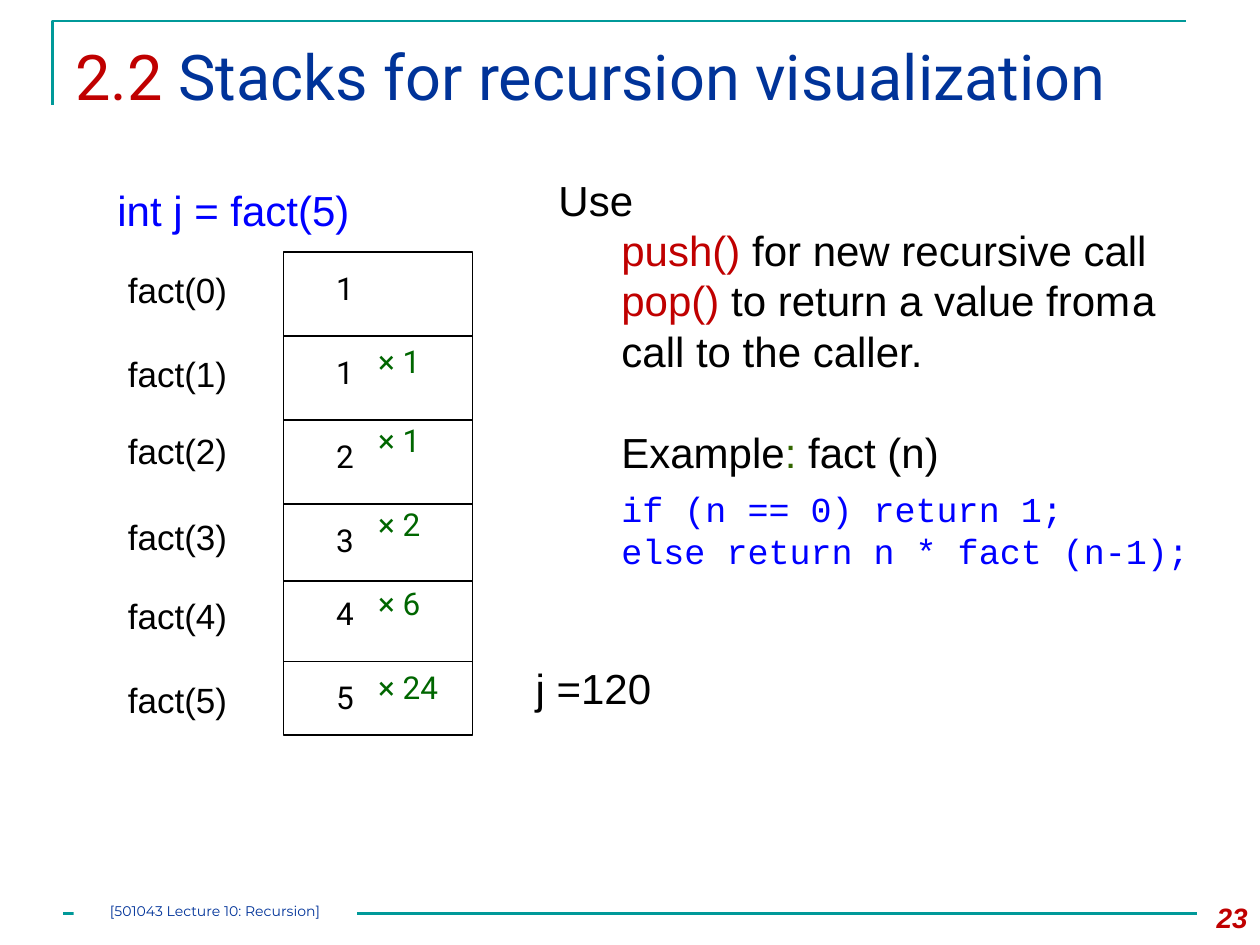
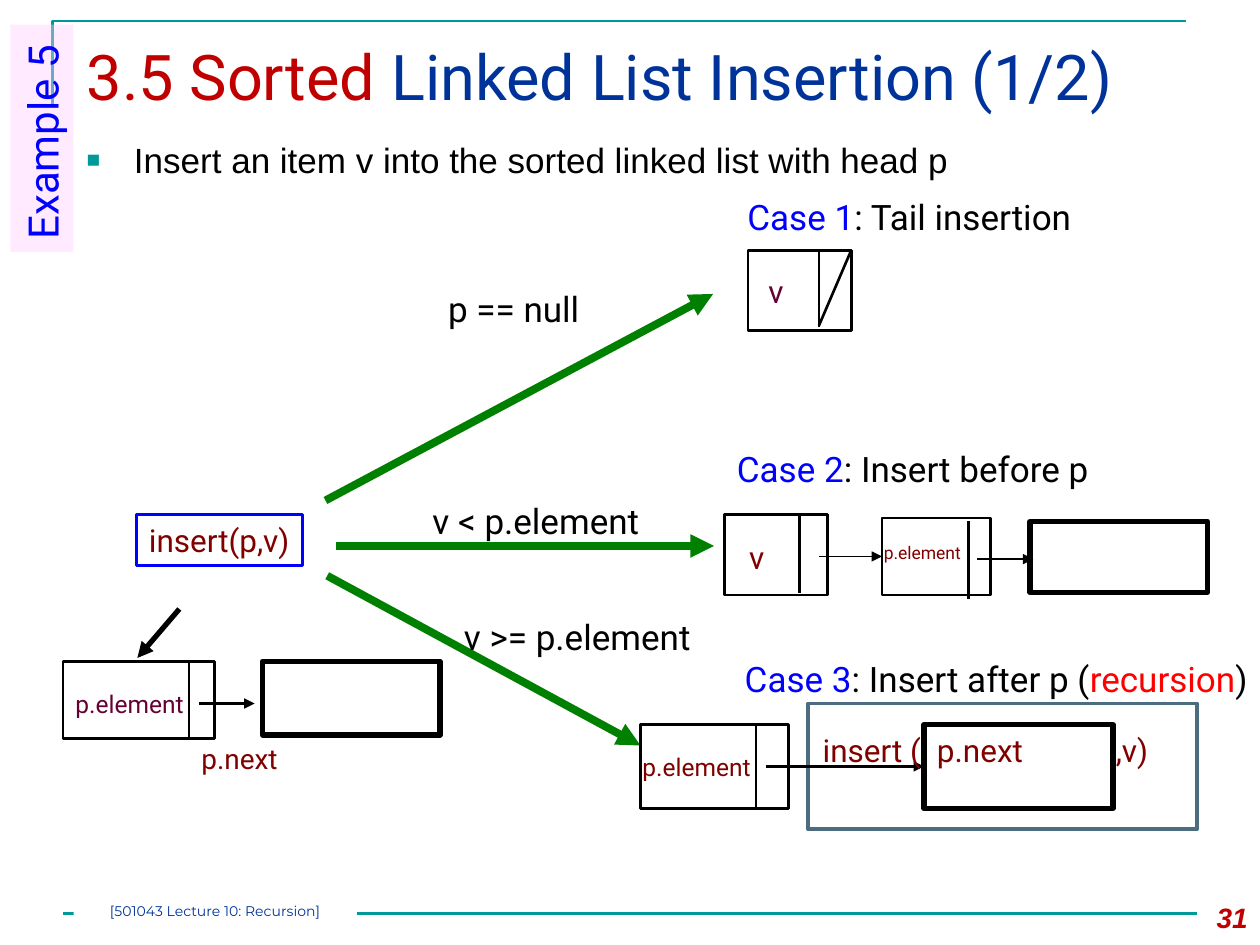
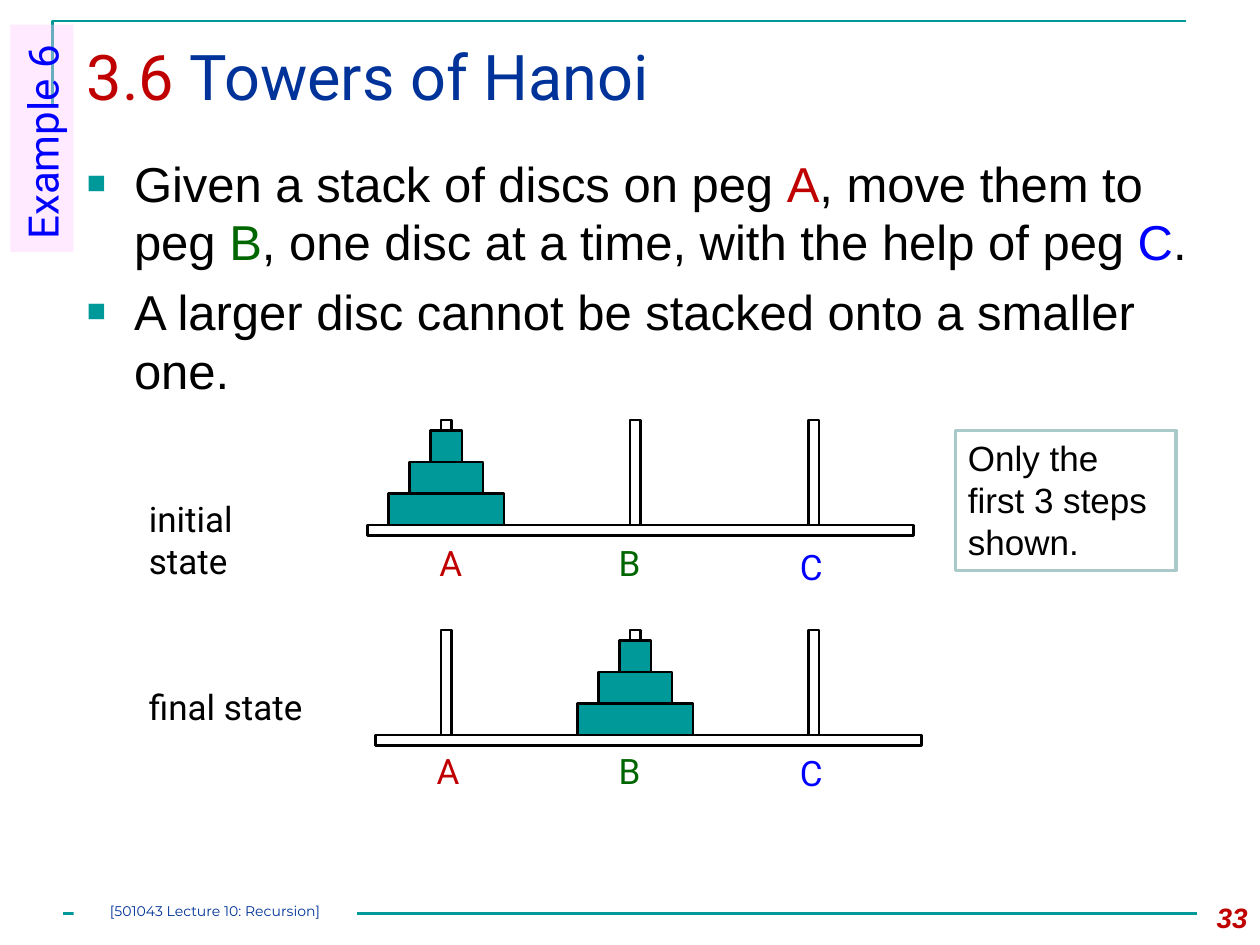
import pptx
import pptx.util
import pptx.dml.color
import pptx.enum.shapes
import pptx.enum.text
import pptx.oxml.ns
from lxml import etree

Pt = pptx.util.Pt
RGB = pptx.dml.color.RGBColor
ALIGN = pptx.enum.text.PP_ALIGN
ANCHOR = pptx.enum.text.MSO_ANCHOR
qn = pptx.oxml.ns.qn

# Colours and fonts
TEAL, NAVY, CRIMSON = RGB(0, 0x99, 0x99), RGB(0, 0x33, 0x99), RGB(0xC0, 0, 0)
BLUE, GREEN, ARROW_GREEN = RGB(0, 0, 0xFF), RGB(0, 0x66, 0), RGB(0, 0x80, 0)
OLIVE, MAROON, PLUM = RGB(0x33, 0x66, 0), RGB(0x80, 0, 0), RGB(0x66, 0, 0x33)
RED, SLATE, MINT = RGB(0xFF, 0, 0), RGB(0x4C, 0x6D, 0x80), RGB(0xAA, 0xCA, 0xCA)
PINK, BLACK, WHITE = RGB(0xFF, 0xCC, 0xFF), RGB(0, 0, 0), RGB(0xFF, 0xFF, 0xFF)
ROBOTO, ARIAL, MONO = "Roboto", "Arial", "Courier New"

# Content shared by the slides
FOOTER = "[501043 Lecture 10: Recursion]"
HEADINGS = [  # number part, rest, title left, page, example tag
    ("2.2 ", "Stacks for recursion visualization", 36, "23", None),
    ("3.5 Sorted ", "Linked List Insertion (1/2)", 42.5, "31", "Example 5"),
    ("3.6 ", "Towers of Hanoi", 42.5, "33", "Example 6"),
]

# Content of the recursion stack
FRAME_EDGES = [144, 192, 240, 288, 332, 378, 420]
FRAMES = [  # value, its top, call label top, factor, factor top
    ("1", 150, 150, None, 0),
    ("1", 198, 198, "× 1", 192),
    ("2", 246, 242, "× 1", 237),
    ("3", 294, 291, "× 2", 285),
    ("4", 336, 336, "× 6", 330),
    ("5", 384, 384, "× 24", 378),
]
USAGE = [  # runs, size, font, paragraph format
    ([("Use", BLACK)], 24, ARIAL, {}),
    ([("push() ", CRIMSON), ("for new recursive call", BLACK)], 24, ARIAL, {"indent": 36}),
    ([("pop() ", CRIMSON), ("to return a value from \ta call to the caller.", BLACK)],
     24, ARIAL, {"indent": 36}),
    ([("Example", BLACK), (": ", OLIVE), ("fact (n)", BLACK)], 24, ARIAL,
     {"indent": 36, "space_before": Pt(29), "space_after": Pt(6)}),
    ([("if (n == 0) return 1;", BLUE)], 20, MONO, {"indent": 36}),
    ([("else return n * fact (n-1);", BLUE)], 20, MONO, {"indent": 36}),
]

# Content of the list insertion: boxes, lines and labels
NODE_BOXES = [  # left, top, width, height, line width, line colour, fill
    (427.5, 143, 59, 46, 1.5, BLACK, None),
    (36, 378, 86.5, 44, 1.5, BLACK, None),
    (150, 378, 101.5, 42, 3, BLACK, None),
    (414, 294, 59, 46, 1.5, BLACK, None),
    (504, 296, 62, 44, 1.5, BLACK, None),
    (588.5, 298, 101.5, 40.5, 3, BLACK, None),
    (366, 414, 84.5, 48, 1.5, BLACK, WHITE),
    (528, 414, 108, 48, 3, BLACK, None),
    (462, 402, 222, 72, 2.25, SLATE, None),
]
NODE_LINES = [  # x1, y1, x2, y2
    (468, 143, 468, 187), (486, 144, 468, 186), (108, 378, 108, 422),
    (457, 295, 457, 339), (553.5, 298, 553.5, 342), (432, 414, 432, 462),
]
ARROWS = [  # x1, y1, x2, y2, width, colour
    (114, 402, 145.5, 402, 1.5, BLACK),
    (102.5, 348, 78.5, 376, 3, BLACK),
    (558.5, 319.5, 590.5, 319.5, 1.5, BLACK),
    (468, 318, 504, 318, 0.75, BLACK),
    (438, 438, 528, 438, 1.5, BLACK),
]
CASE_ARROWS = [
    (186, 286, 407.5, 168, 4.5, ARROW_GREEN),
    (192, 312, 408, 312, 4.5, ARROW_GREEN),
    (187, 329, 366, 426, 4.5, ARROW_GREEN),
]
NODE_LABELS = [  # runs, left, top, width, height, size
    ([("p == null", BLACK)], 249, 161, 91.5, 31, 20),
    ([("v < p.element", BLACK)], 240, 282, 136, 31, 20),
    ([("v >= p.element", BLACK)], 258, 348, 148, 31, 20),
    ([("Case 1", BLUE), (": Tail insertion", BLACK)], 420, 108, 202.5, 31, 20),
    ([("Case 2", BLUE), (": Insert before p", BLACK)], 414, 252, 264, 31, 20),
    ([("v", PLUM)], 432, 152, 24, 29, 18),
    ([("v", MAROON)], 421, 304, 24, 29, 18),
    ([("p.next", MAROON)], 108, 420, 58, 26.5, 16),
    ([("p.element", PLUM)], 36, 390, 76.5, 24.5, 14),
    ([("p.element", MAROON)], 498, 306, 58.5, 19.5, 10),
    ([("p.element", MAROON)], 360, 426, 76.5, 24.5, 14),
]
RECURSIVE_CASE = [("Case 3", BLUE), (": Insert after p (", BLACK), ("recursion", RED),
                  (")", BLACK)]

# Content of the towers
RULES = [
    [("Given a stack of discs on peg ", BLACK), ("A", CRIMSON), (", move them to peg ", BLACK),
     ("B", GREEN), (", one disc at a time, with the help of peg ", BLACK), ("C", BLUE),
     (".", BLACK)],
    [("A larger disc cannot be stacked onto a smaller one.", BLACK)],
]
PEGS = [("A", CRIMSON, 252), ("B", GREEN, 360), ("C", BLUE, 462)]
DISC_WIDTHS = [66, 42, 18]
STATES = [  # label, label top, width, peg top, base left, disc peg, (left, top) of peg names
    ("initial state", 281, 108.5, 240, 210, 0, [(244, 306), (346.5, 306), (450, 308)]),
    ("final state", 388, 106.5, 360, 214.5, 1, [(242.5, 425), (346.5, 425), (450, 426)]),
]


def set_all(target, values):
    for name, value in values.items():
        setattr(target, name, value)


def add_paragraph_xml(paragraph, indent=0, bullet=False, tabs=()):
    props = paragraph._p.get_or_add_pPr()
    if indent:
        props.set("marL", str(Pt(indent)))
        props.set("indent", str(-Pt(indent) if bullet else 0))
    if bullet:
        colour = etree.SubElement(props, qn("a:buClr"))
        etree.SubElement(colour, qn("a:srgbClr"), val=str(TEAL))
        etree.SubElement(props, qn("a:buSzPct"), val="65000")
        etree.SubElement(props, qn("a:buFont"), typeface=ARIAL)
        etree.SubElement(props, qn("a:buChar"), char="■")
    if tabs:
        stops = etree.SubElement(props, qn("a:tabLst"))
        for position in tabs:
            etree.SubElement(stops, qn("a:tab"), pos=str(Pt(position)), algn="l")


def fill_paragraph(paragraph, runs, size, font, style=None, indent=0, bullet=False, tabs=(),
                   **layout):
    add_paragraph_xml(paragraph, indent, bullet, tabs)
    set_all(paragraph, layout)
    for words, colour in runs:
        run = paragraph.add_run()
        run.text = words
        set_all(run.font, {"size": Pt(size), "name": font, **(style or {})})
        run.font.color.rgb = colour


def write(shape, paragraphs, wrap=True, grow=True, **margins):
    frame = shape.text_frame
    fit = pptx.enum.text.MSO_AUTO_SIZE
    set_all(frame, {"word_wrap": wrap, "vertical_anchor": ANCHOR.TOP,
                    "auto_size": fit.SHAPE_TO_FIT_TEXT if grow else fit.NONE, **margins})
    for i, (runs, size, font, layout) in enumerate(paragraphs):
        paragraph = frame.add_paragraph() if i else frame.paragraphs[0]
        fill_paragraph(paragraph, runs, size, font, **{"alignment": ALIGN.LEFT, **layout})


def add_text(slide, box, paragraphs, **frame):
    write(slide.shapes.add_textbox(*map(Pt, box)), paragraphs, **frame)


def add_label(slide, box, runs, size, font=ROBOTO, wrap=False, **margins):
    add_text(slide, box, [(runs, size, font, {})], wrap=wrap, **margins)


def paint(shape, line=None, width=1.5, fill=None):
    shape.shadow.inherit = False
    if fill is None:
        shape.fill.background()
    else:
        shape.fill.solid()
        shape.fill.fore_color.rgb = fill
    if line is None:
        shape.line.fill.background()
    else:
        shape.line.color.rgb = line
        shape.line.width = Pt(width)


def add_box(slide, box, line=None, width=1.5, fill=None):
    kind = pptx.enum.shapes.MSO_SHAPE.RECTANGLE
    shape = slide.shapes.add_shape(kind, *map(Pt, box))
    paint(shape, line, width, fill)
    return shape


def add_line(slide, ends, width=1.5, colour=BLACK, arrow=False):
    straight = pptx.enum.shapes.MSO_CONNECTOR.STRAIGHT
    line = slide.shapes.add_connector(straight, *map(Pt, ends))
    line.line.color.rgb = colour
    line.line.width = Pt(width)
    if arrow:
        etree.SubElement(line.line._get_or_add_ln(), qn("a:tailEnd"), type="triangle")
    etree.SubElement(line._element.spPr, qn("a:effectLst"))


def add_frame(slide, number, rest, left, page):
    # Corner rule, footer rule, title and page number
    outline = slide.shapes.build_freeform(Pt(30), Pt(60))
    outline.add_line_segments([(Pt(30), Pt(12)), (Pt(678), Pt(12))], close=False)
    paint(outline.convert_to_shape(), TEAL)
    add_line(slide, (36, 522, 684, 522), colour=TEAL)
    add_text(slide, (left, 18, 684 - left, 62),
             [([(number, CRIMSON), (rest, NAVY)], 36, ROBOTO, {})], grow=False)
    add_text(slide, (672, 511, 48, 29),
             [([(page, CRIMSON)], 16, ARIAL,
               {"alignment": ALIGN.RIGHT, "style": {"bold": True, "italic": True}})], grow=False)


def add_overlay(slide, example):
    # Example tag on the left edge and footer text over its rule
    if example:
        tag = add_box(slide, (-41, 61, 130, 36), fill=PINK)
        tag.rotation = 270
        colour = tag._element.spPr.find(qn("a:solidFill"))[0]
        etree.SubElement(colour, qn("a:alpha"), val="40000")
        write(tag, [([(example, BLUE)], 24, ROBOTO, {})])
    footer = add_box(slide, (42, 516, 162, 12), fill=WHITE)
    no_margins = {f"margin_{side}": 0 for side in ("left", "top", "right", "bottom")}
    write(footer, [([(FOOTER, NAVY)], 8, "Montserrat", {"alignment": ALIGN.CENTER})],
          grow=False, **no_margins)


def draw_recursion_stack(slide):
    top, bottom = FRAME_EDGES[0], FRAME_EDGES[-1]
    add_box(slide, (162, top, 108, bottom - top), BLACK, 0.75)
    for y in FRAME_EDGES[1:-1]:
        add_line(slide, (162, y, 270, y), 0.75)
    for n, (value, value_top, call_top, factor, factor_top) in enumerate(FRAMES):
        add_label(slide, (66, call_top, 102, 31.5), [(f"fact({n})", BLACK)], 20, ARIAL, True)
        add_label(slide, (185, value_top, 28, 36), [(value, BLACK)], 18)
        if factor:
            add_label(slide, (209, factor_top, 50 if len(factor) > 3 else 39.5, 29),
                      [(factor, GREEN)], 18)
    add_label(slide, (60, 102, 216, 36), [("int j = fact(5)", BLUE)], 24, ARIAL, True)
    add_label(slide, (299, 375, 81.5, 36), [("j =120", BLACK)], 24, ARIAL)
    add_text(slide, (312, 96, 378, 258), USAGE)


def draw_list_insertion(slide):
    call = add_box(slide, (78, 294, 95, 29), BLUE)
    write(call, [([("insert(p,v)", MAROON)], 18, ROBOTO, {})], wrap=False)
    for ends in CASE_ARROWS:
        add_line(slide, ends[:4], *ends[4:], arrow=True)
    for left, top, width, height, weight, colour, fill in NODE_BOXES:
        add_box(slide, (left, top, width, height), colour, weight, fill)
    for ends in NODE_LINES:
        add_line(slide, ends)
    for ends in ARROWS:
        add_line(slide, ends[:4], *ends[4:], arrow=True)
    for runs, *box, size in NODE_LABELS:
        add_label(slide, box, runs, size)
    # This label ends at the slide edge, so it needs the room of its right margin
    add_label(slide, (418.5, 372, 301.5, 31), RECURSIVE_CASE, 20, wrap=True, margin_right=0)
    add_text(slide, (463, 414, 215, 29),
             [([("insert (\tp.next\t,v)", MAROON)], 18, ROBOTO, {"tabs": (65.3, 167.5)})])
    add_text(slide, (42.5, 75.5, 612, 36),
             [([("Insert an item v into the sorted linked list with head p", BLACK)], 20, ARIAL,
               {"indent": 27, "bullet": True})], grow=False)


def draw_towers(slide):
    add_text(slide, (42.5, 84, 666, 150),
             [(runs, 28, ARIAL, {"indent": 27, "bullet": True, "space_before": Pt(6 if i else 0)})
              for i, runs in enumerate(RULES)], grow=False)
    for label, label_top, label_width, top, base_left, disc_peg, names in STATES:
        base = top + 60
        add_label(slide, (78, label_top, label_width, 31), [(label, BLACK)], 20, wrap=True)
        add_box(slide, (base_left, base, 312, 6), BLACK)
        for (name, colour, left), place in zip(PEGS, names):
            add_box(slide, (left, top, 6, 60), BLACK)
            add_label(slide, (*place, 28, 31), [(name, colour)], 20)
        centre = PEGS[disc_peg][2] + 3
        for level, width in enumerate(DISC_WIDTHS, 1):
            add_box(slide, (centre - width / 2, base - 18 * level, width, 18), BLACK, fill=TEAL)
    note = add_box(slide, (546, 246, 126, 80), MINT, 2, WHITE)
    write(note, [([("Only the first 3 steps shown.", BLACK)], 20, ARIAL, {})])


def main():
    deck = pptx.Presentation()
    set_all(deck, {"slide_width": Pt(720), "slide_height": Pt(540)})
    drawings = [draw_recursion_stack, draw_list_insertion, draw_towers]
    for (*heading, example), draw in zip(HEADINGS, drawings):
        slide = deck.slides.add_slide(deck.slide_layouts[6])
        add_frame(slide, *heading)
        draw(slide)
        add_overlay(slide, example)
    deck.save("out.pptx")


if __name__ == "__main__":
    main()
